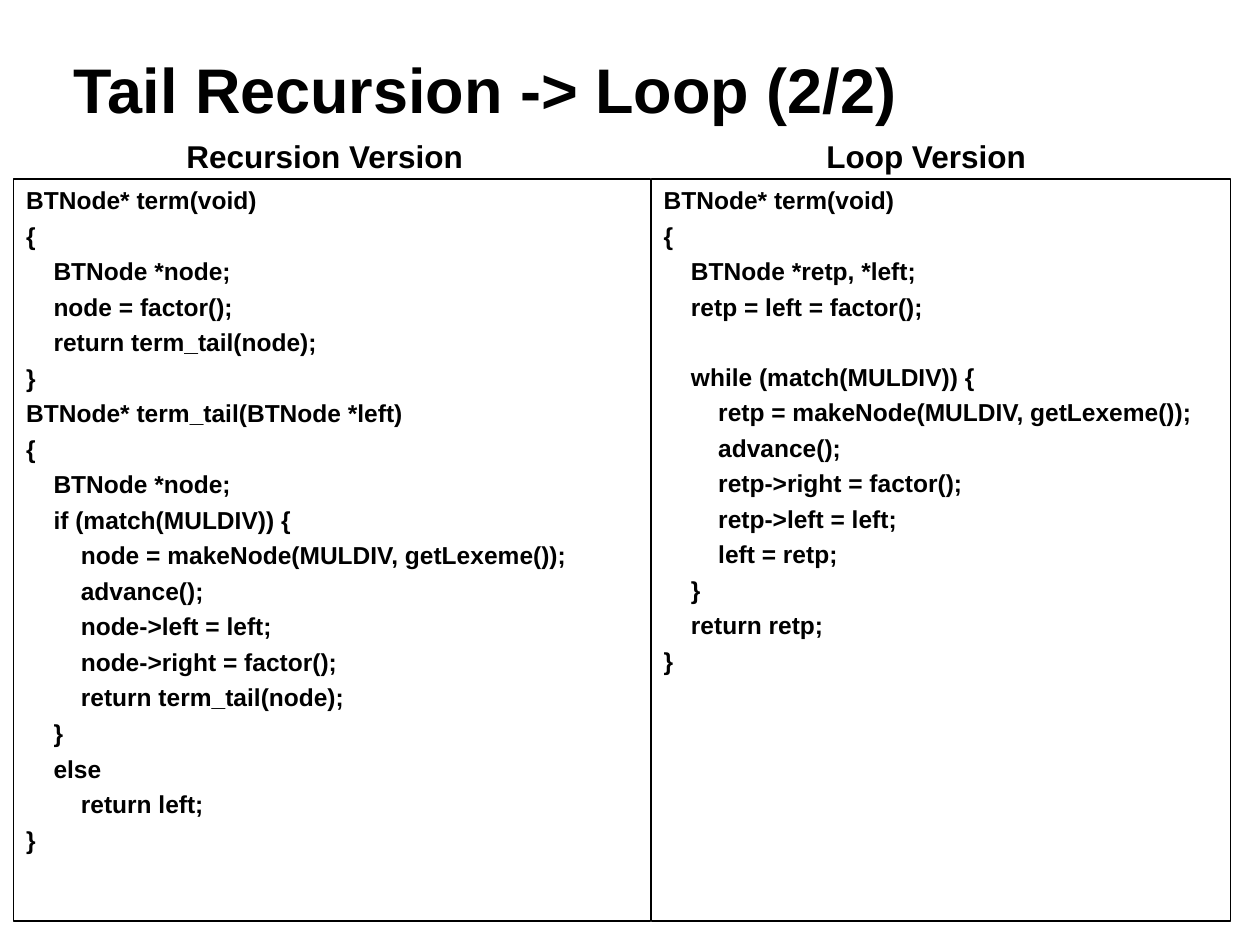
from dataclasses import dataclass

from pptx import Presentation
from pptx.dml.color import RGBColor
from pptx.enum.shapes import MSO_SHAPE
from pptx.enum.text import MSO_ANCHOR, PP_ALIGN
from pptx.util import Cm, Pt


@dataclass(frozen=True)
class Theme:
    font: str = "Arial"
    ink: RGBColor = RGBColor(0, 0, 0)
    title: int = 36
    label: int = 18
    code: int = 14
    gap: float = 3.5      # points above each code line
    row: float = 19.6     # points from one code line to the next
    tab: float = 0.55     # cm per indent level
    line: float = 0.75


THEME = Theme()

RECUR = """\
BTNode* term(void)
{
    BTNode *node;
    node = factor();
    return term_tail(node);
}
BTNode* term_tail(BTNode *left)
{
    BTNode *node;
    if (match(MULDIV)) {
        node = makeNode(MULDIV, getLexeme());
        advance();
        node->left = left;
        node->right = factor();
        return term_tail(node);
    }
    else
        return left;
}"""

LOOP = """\
BTNode* term(void)
{
    BTNode *retp, *left;
    retp = left = factor();

    while (match(MULDIV)) {
        retp = makeNode(MULDIV, getLexeme());
        advance();
        retp->right = factor();
        retp->left = left;
        left = retp;
    }
    return retp;
}"""


def style(para, size):
    para.alignment = PP_ALIGN.LEFT
    font = para.font
    font.name, font.size, font.bold = THEME.font, Pt(size), True
    font.color.rgb = THEME.ink


def add_text(slide, box, text, size, anchor=MSO_ANCHOR.TOP):
    frame = slide.shapes.add_textbox(*map(Cm, box)).text_frame
    frame.word_wrap = True
    frame.vertical_anchor = anchor
    frame.text = text
    style(frame.paragraphs[0], size)


def fill_code(frame, code):
    """Indent each line by its depth; an empty line widens the next gap."""
    gap = THEME.gap
    para = frame.paragraphs[0]
    for line in code.splitlines():
        if not line:
            gap += THEME.row
            continue
        if para.text:
            para = frame.add_paragraph()
        para.text = line.lstrip()
        style(para, THEME.code)
        para.space_before = Pt(gap)
        depth = (len(line) - len(para.text)) // 4
        para._p.get_or_add_pPr().set("marL", str(Cm(depth * THEME.tab)))
        gap = THEME.gap


def add_panel(slide, box, label, inset, code):
    left, top, width, height = box

    # Framed code
    panel = slide.shapes.add_shape(MSO_SHAPE.RECTANGLE, *map(Cm, box))
    panel.shadow.inherit = False
    panel.fill.background()
    panel.line.color.rgb = THEME.ink
    panel.line.width = Pt(THEME.line)
    frame = panel.text_frame
    frame.word_wrap = True
    frame.vertical_anchor = MSO_ANCHOR.TOP
    fill_code(frame, code)

    # Label above the frame
    add_text(slide, (left + inset, top - 0.97, 6.27, 1.02), label, THEME.label)


def main():
    deck = Presentation()
    deck.slide_width, deck.slide_height = Cm(25.4), Cm(19.05)
    slide = deck.slides.add_slide(deck.slide_layouts[6])

    # Title
    add_text(slide, (1.24, 0.2, 23.06, 3.18), "Tail Recursion -> Loop (2/2)",
             THEME.title, MSO_ANCHOR.MIDDLE)

    # Two versions side by side
    add_panel(slide, (0.28, 3.61, 12.83, 14.96), "Recursion Version", 3.23, RECUR)
    add_panel(slide, (13.13, 3.61, 11.68, 14.96), "Loop Version", 3.28, LOOP)

    deck.save("out.pptx")


if __name__ == "__main__":
    main()
